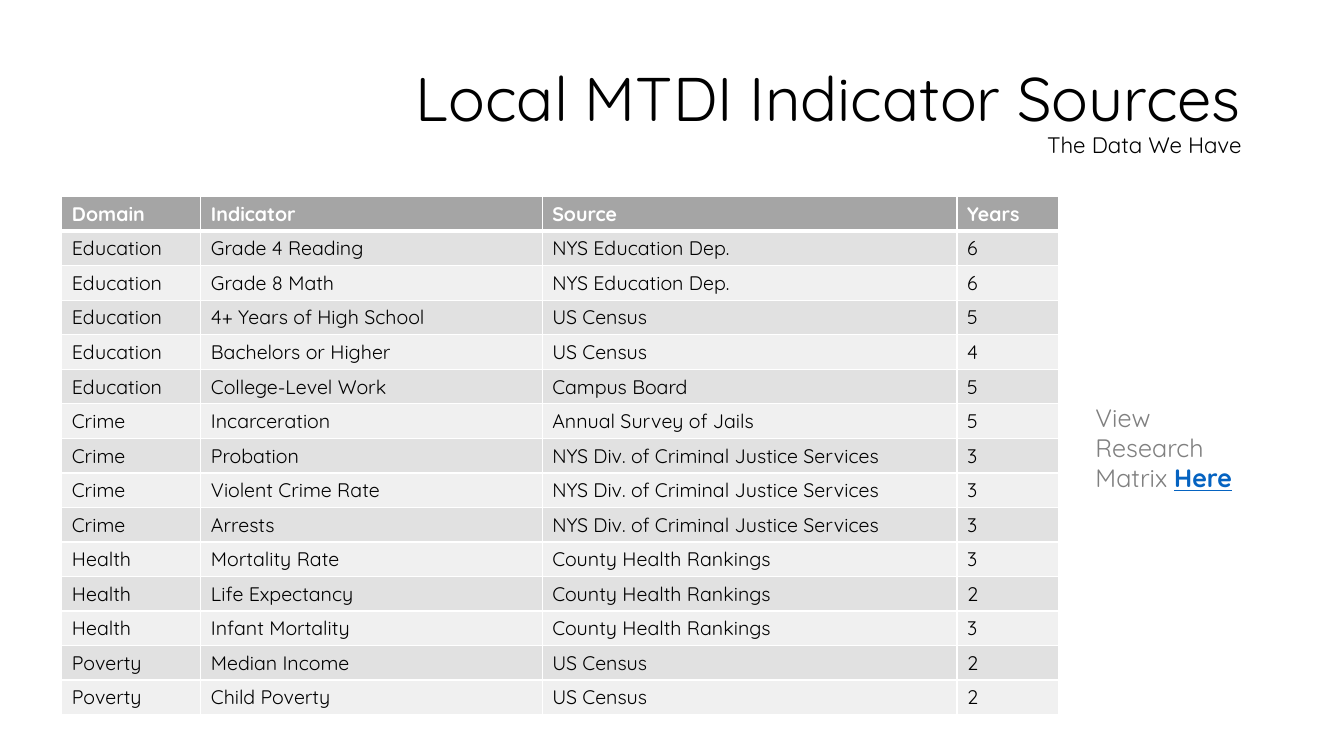
from pptx import Presentation
from pptx.dml.color import RGBColor
from pptx.enum import text
from pptx.util import Pt
from lxml import etree

BLACK = RGBColor(0x00, 0x00, 0x00)
WHITE = RGBColor(0xFF, 0xFF, 0xFF)
GRAY = RGBColor(0x80, 0x80, 0x80)
LINK_BLUE = RGBColor(0x05, 0x63, 0xC1)
HEADER_FILL = RGBColor(0xA5, 0xA5, 0xA5)
BAND_FILLS = (RGBColor(0xF0, 0xF0, 0xF0), RGBColor(0xE1, 0xE1, 0xE1))
A = "{http://schemas.openxmlformats.org/drawingml/2006/main}"

COLUMN_WIDTHS = (99.3, 243.8, 296.3, 72.6)
ROW_HEIGHT = 24.68
HEADERS = ("Domain", "Indicator", "Source", "Years")
INDICATORS = (
    ("Education", "Grade 4 Reading", "NYS Education Dep.", 6),
    ("Education", "Grade 8 Math", "NYS Education Dep.", 6),
    ("Education", "4+ Years of High School", "US Census", 5),
    ("Education", "Bachelors or Higher", "US Census", 4),
    ("Education", "College-Level Work", "Campus Board", 5),
    ("Crime", "Incarceration", "Annual Survey of Jails", 5),
    ("Crime", "Probation", "NYS Div. of Criminal Justice Services", 3),
    ("Crime", "Violent Crime Rate", "NYS Div. of Criminal Justice Services", 3),
    ("Crime", "Arrests", "NYS Div. of Criminal Justice Services", 3),
    ("Health", "Mortality Rate", "County Health Rankings", 3),
    ("Health", "Life Expectancy", "County Health Rankings", 2),
    ("Health", "Infant Mortality", "County Health Rankings", 3),
    ("Poverty", "Median Income", "US Census", 2),
    ("Poverty", "Child Poverty", "US Census", 2),
)


class SlideBuilder:
    def __init__(self, s, font):
        self.s = s
        self.font = font

    def style(self, r, size, color, bold=False, underline=False):
        r.font.name = self.font
        r.font.size = Pt(size)
        r.font.color.rgb = color
        r.font.bold = bold
        r.font.underline = underline

    def text_box(self, left, top, width, height):
        sp = self.s.shapes.add_textbox(Pt(left), Pt(top), Pt(width), Pt(height))
        return sp.text_frame

    def title(self, heading, subheading):
        tf = self.text_box(66, 28.75, 828, 104.4)
        tf.word_wrap = True
        tf.vertical_anchor = text.MSO_ANCHOR.MIDDLE
        p = tf.paragraphs[0]
        p.text = f"{heading}\v{subheading}"
        p.alignment = text.PP_ALIGN.RIGHT
        p.line_spacing = 0.9
        for r, size in zip(p.runs, (44, 16)):
            self.style(r, size, BLACK)

    def note(self, lines, link):
        tf = self.text_box(775.4, 283.7, 113.8, 72.7)
        tf.word_wrap = False
        tf.text = "\n".join(lines)
        for p in tf.paragraphs:
            self.style(p.runs[0], 18, GRAY)
        r = tf.paragraphs[-1].add_run()
        r.text = link
        self.style(r, 18, LINK_BLUE, bold=True, underline=True)

    def borders(self, cell, bottom):
        tcPr = cell._tc.get_or_add_tcPr()
        for i, (side, width) in enumerate((("L", 1), ("R", 1), ("T", 1), ("B", bottom))):
            ln = etree.Element(f"{A}ln{side}", w=str(Pt(width)))
            fill = etree.SubElement(ln, f"{A}solidFill")
            etree.SubElement(fill, f"{A}srgbClr", val=str(WHITE))
            tcPr.insert(i, ln)

    def table(self, left, top, rows):
        table = self.s.shapes.add_table(
            len(rows), len(COLUMN_WIDTHS), Pt(left), Pt(top),
            Pt(sum(COLUMN_WIDTHS)), Pt(ROW_HEIGHT * len(rows))).table
        for column, width in zip(table.columns, COLUMN_WIDTHS):
            column.width = Pt(width)
        for i, values in enumerate(rows):
            header = i == 0
            table.rows[i].height = Pt(ROW_HEIGHT)
            for cell, value in zip(table.rows[i].cells, values):
                cell.text = str(value)
                cell.fill.solid()
                cell.fill.fore_color.rgb = HEADER_FILL if header else BAND_FILLS[i % 2]
                self.style(cell.text_frame.paragraphs[0].runs[0], 14,
                           WHITE if header else BLACK, bold=header)
                self.borders(cell, 3 if i < 1 else 1)
                if i == 1:
                    cell._tc.tcPr.find(f"{A}lnT").set("w", str(Pt(3)))


def main():
    prs = Presentation()
    prs.slide_width, prs.slide_height = Pt(960), Pt(540)
    s = prs.slides.add_slide(prs.slide_layouts[6])
    builder = SlideBuilder(s, "Quicksand")
    builder.title("Local MTDI Indicator Sources", "The Data We Have")
    builder.table(44.2, 140.5, (HEADERS, *INDICATORS))
    builder.note(("View", "Research", "Matrix "), "Here")
    prs.save("out.pptx")


if __name__ == "__main__":
    main()
